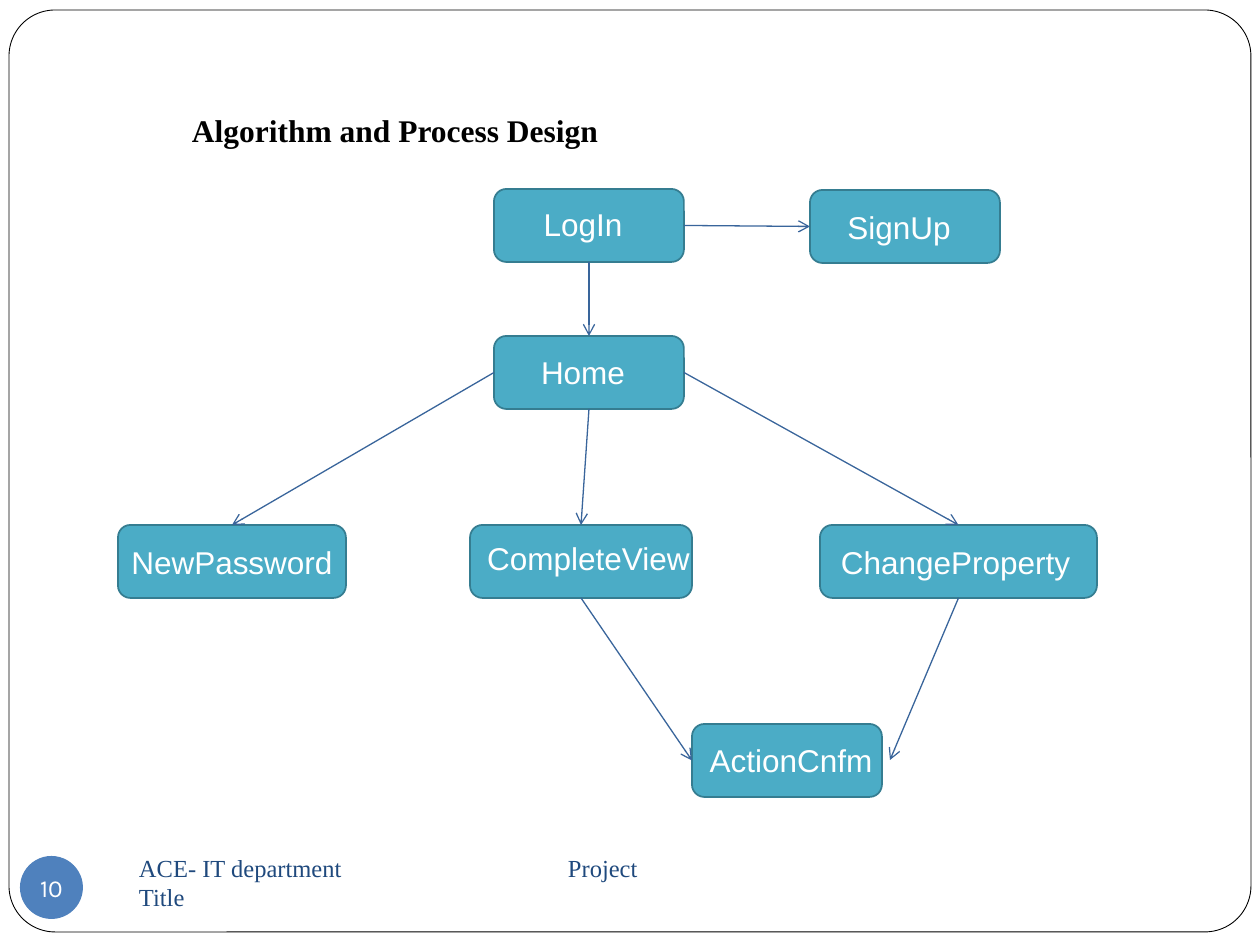
from pptx import Presentation
from pptx import util as u
from pptx.dml.color import RGBColor
from pptx.enum import shapes, text
from pptx.oxml.ns import qn
from lxml import etree

SCALE = 914400 / 126  # EMU per px
HUES = {"white": "FFFFFF", "black": "000000", "navy": "1F497D", "blue": "4F81BD",
        "teal": "4BACC6", "edge": "357D91", "link": "39659B"}
KIND = shapes.MSO_SHAPE
TOP, LEFT, BOTTOM, RIGHT = range(4)  # connection sites
HIGH = 73  # node height
LABEL = {"size": 18, "name": "Arial", "hue": "white"}

# name: node left, top, width; label left, top, width
NODES = {
    "SignUp": (810, 190, 190, 820, 202, 158),
    "LogIn": (494, 189, 190, 504, 199, 158),
    "Home": (494, 336, 190, 504, 347, 158),
    "NewPassword": (118, 525, 228, 118, 537, 228),
    "CompleteView": (470, 525, 222, 470, 533, 237),
    "ChangeProperty": (820, 525, 277, 813, 537, 285),
    "ActionCnfm": (692, 724, 190, 692, 735, 198),
}
LINKS = [
    ("LogIn", BOTTOM, "Home", TOP),
    ("Home", BOTTOM, "CompleteView", TOP),
    ("LogIn", RIGHT, "SignUp", LEFT),
    ("Home", RIGHT, "ChangeProperty", TOP),
    ("Home", LEFT, "NewPassword", TOP),
    ("CompleteView", BOTTOM, "ActionCnfm", LEFT),
]


def px(*sizes):
    return [u.Emu(round(size * SCALE)) for size in sizes]


def tint(hue):
    return RGBColor.from_string(HUES[hue])


def write(shape, words, form, align="LEFT", anchor="TOP", pad=(13, 6), indent=0, tab=0):
    frame = shape.text_frame
    side, edge = px(*pad)
    look = {"word_wrap": True, "vertical_anchor": getattr(text.MSO_ANCHOR, anchor),
            "margin_left": side, "margin_right": side,
            "margin_top": edge, "margin_bottom": edge}
    for key, value in look.items():
        setattr(frame, key, value)
    para = frame.paragraphs[0]
    para.text = words
    para.alignment = getattr(text.PP_ALIGN, align)
    props = para._p.get_or_add_pPr()
    if indent:
        props.set("marL", str(px(indent)[0]))
        props.set("indent", "0")
    if tab:
        stops = etree.SubElement(props, qn("a:tabLst"))
        etree.SubElement(stops, qn("a:tab"), pos=str(px(tab)[0]), algn="l")
    font = para.runs[0].font
    for key, value in form.items():
        if key == "hue":
            font.color.rgb = tint(value)
        else:
            setattr(font, key, u.Pt(value) if key == "size" else value)


def add_box(slide, kind, place, fill, line=None, width=1, round_by=None):
    shape = slide.shapes.add_shape(kind, *px(*place))
    shape.shadow.inherit = False
    shape.fill.solid()
    shape.fill.fore_color.rgb = tint(fill)
    if line:
        shape.line.color.rgb = tint(line)
        shape.line.width = u.Pt(width)
    else:
        shape.line.fill.background()
    if round_by:
        shape.adjustments[0] = round_by
    return shape


def add_text(slide, place, words, form, **layout):
    box = slide.shapes.add_textbox(*px(*place))
    write(box, words, form, **layout)
    return box


def add_node(slide, name):
    left, top, width, text_left, text_top, text_width = NODES[name]
    box = add_box(slide, KIND.ROUNDED_RECTANGLE, (left, top, width, HIGH),
                  "teal", "edge", round_by=0.17)
    label = add_text(slide, (text_left, text_top, text_width, 50), name, LABEL,
                     align="CENTER")
    return box, label


def add_link(slide, start, out, end, into):
    link = slide.shapes.add_connector(shapes.MSO_CONNECTOR.STRAIGHT, 0, 0, 0, 0)
    link.begin_connect(start, out)
    link.end_connect(end, into)
    link.line.color.rgb = tint("link")
    link.line.width = u.Pt(0.75)
    etree.SubElement(link.line._get_or_add_ln(), qn("a:tailEnd"), type="arrow")
    etree.SubElement(link._element.spPr, qn("a:effectLst"))


def main():
    deck = Presentation()
    deck.slide_width, deck.slide_height = px(1260, 945)
    slide = deck.slides.add_slide(deck.slide_layouts[6])

    # Frame, footer and page number
    add_box(slide, KIND.ROUNDED_RECTANGLE, (9, 10, 1242, 922), "white", "black", 0.5, 0.05)
    add_text(slide, (126, 851, 546, 63), "ACE- IT department\tProject Title",
             {"size": 14, "name": "Times New Roman", "hue": "navy"},
             anchor="MIDDLE", tab=429)
    page = add_box(slide, KIND.OVAL, (20, 856, 63, 63), "blue")
    write(page, "10", {"size": 14, "name": "Karla", "hue": "white"},
          align="CENTER", anchor="MIDDLE", pad=(0, 0))

    # Heading
    add_text(slide, (139, 105, 480, 50), "Algorithm and Process Design",
             {"size": 18, "name": "Times New Roman", "hue": "black", "bold": True}, indent=40)

    # Flow chart
    nodes = {name: add_node(slide, name) for name in NODES}
    for start, out, end, into in LINKS:
        add_link(slide, nodes[start][0], out, nodes[end][0], into)
    # The last arrow stops at the label's edge, just outside its node
    add_link(slide, nodes["ChangeProperty"][0], BOTTOM, nodes["ActionCnfm"][1], RIGHT)

    deck.save("out.pptx")


if __name__ == "__main__":
    main()
